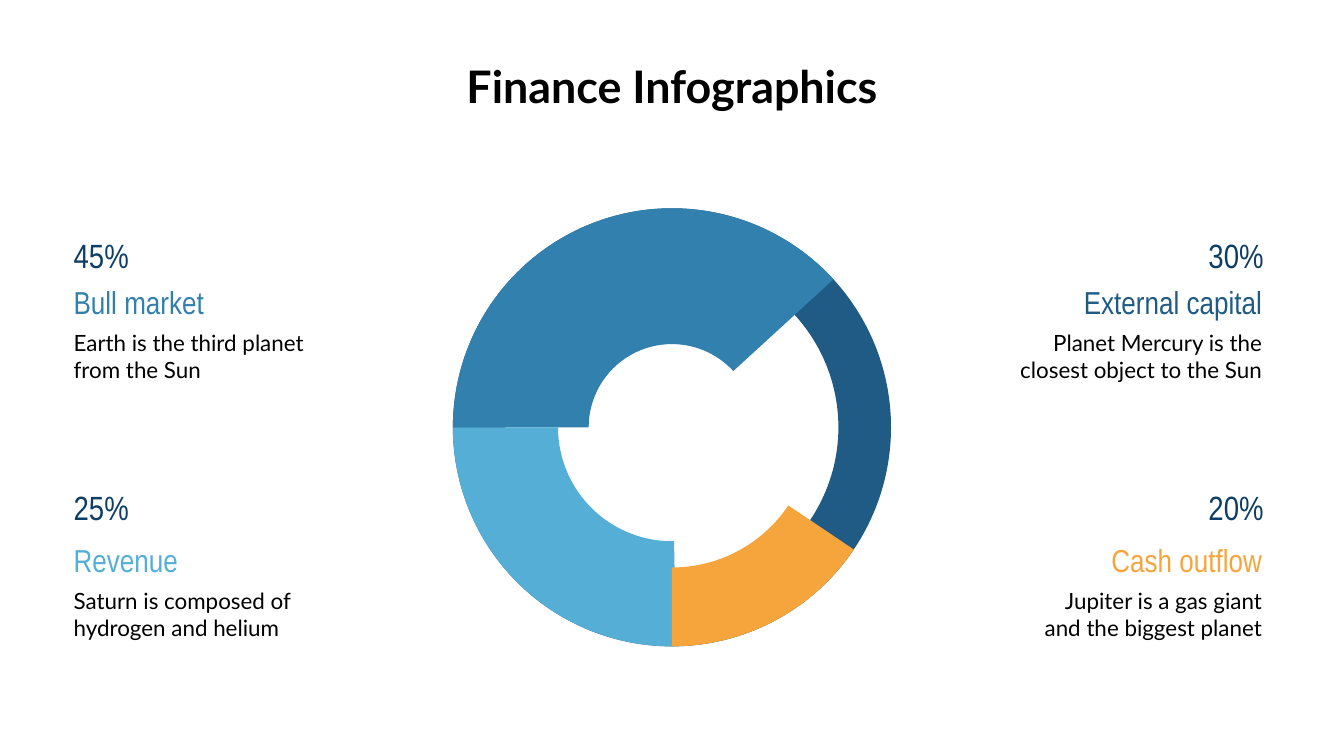
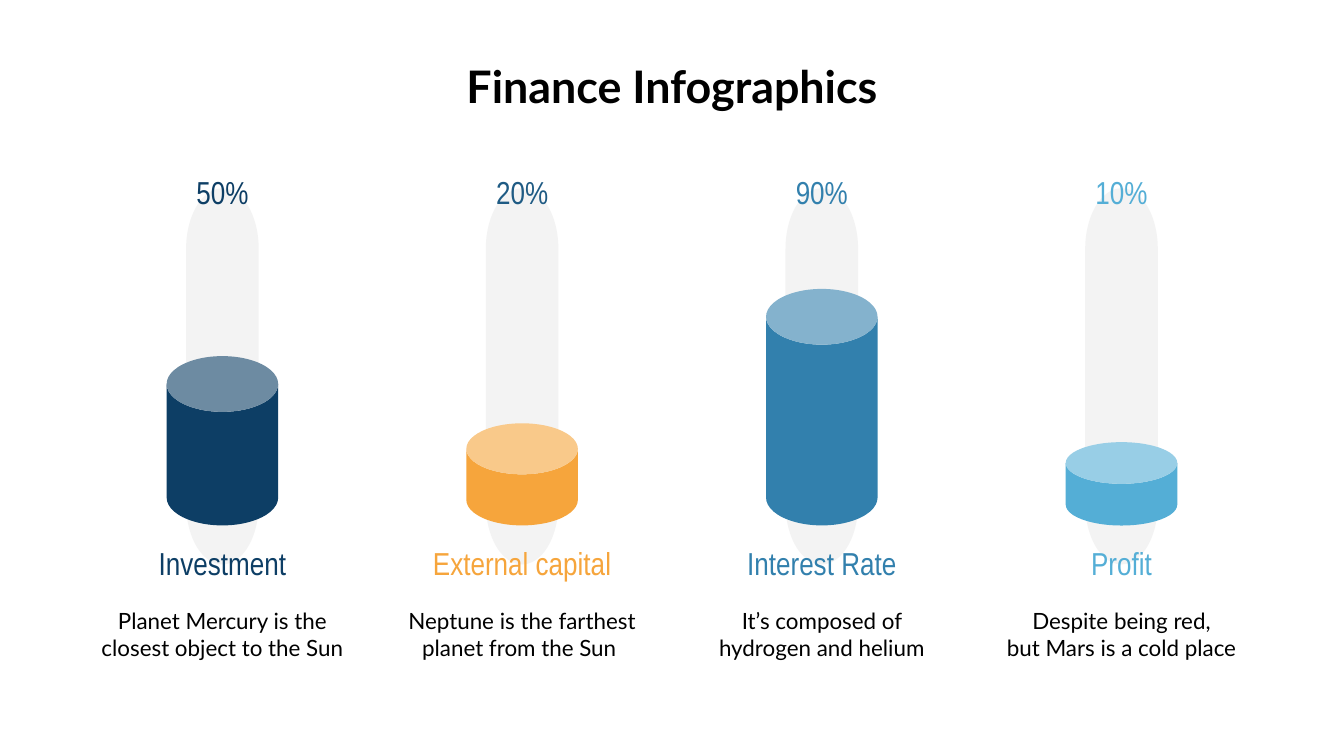
import copy
import dataclasses

import pptx
import pptx.dml.color
import pptx.enum.shapes
import pptx.enum.text
import pptx.oxml.ns
import pptx.util

Inches = pptx.util.Inches
SHAPE = pptx.enum.shapes.MSO_SHAPE
ALIGN = pptx.enum.text.PP_ALIGN
ANCHOR = pptx.enum.text.MSO_ANCHOR


@dataclasses.dataclass(frozen=True)
class Theme:
    black: str = "000000"
    navy: str = "0D3E65"
    deep: str = "1F5B84"
    blue: str = "3280AD"
    sky: str = "54AED6"
    orange: str = "F6A53C"
    track: str = "F3F3F3"
    body_font: str = "Lato"
    label_font: str = "Arial Narrow"
    title_size: int = 24
    share_size: int = 18
    label_size: int = 17
    note_size: int = 12


THEME = Theme()

# Content
TITLE = "Finance Infographics"

RING_COLOR, RING_THICKNESS = THEME.deep, 0.12
# Start and end in degrees clockwise from three o'clock, thickness, colour
RING_ARCS = [
    (180, 317.5, 0.31, THEME.blue),
    (88.94, 180, 0.24, THEME.sky),
    (33.9, 90, 0.18, THEME.orange),
]

# Rows of the ring slide: top of share, top of label, left entry, right entry
RING_ROWS = [
    (1.66, 2.01,
     ("45%", "Bull market", "Earth is the third planet from the Sun", THEME.blue),
     ("30%", "External capital", "Planet Mercury is the closest object to the Sun", THEME.deep)),
    (3.54, 3.93,
     ("25%", "Revenue", "Saturn is composed of hydrogen and helium", THEME.sky),
     ("20%", "Cash outflow", "Jupiter is a gas giant\nand the biggest planet", THEME.orange)),
]

# Share, share colour, label, note, can colour, can height
CANS = [
    ("50%", THEME.navy, "Investment",
     "Planet Mercury is the closest object to the Sun", THEME.navy, 1.26),
    ("20%", THEME.deep, "External capital",
     "Neptune is the farthest planet from the Sun ", THEME.orange, 0.76),
    ("90%", THEME.blue, "Interest Rate",
     "It’s composed of hydrogen and helium", THEME.blue, 1.76),
    ("10%", THEME.sky, "Profit",
     "Despite being red,\nbut Mars is a cold place", THEME.sky, 0.62),
]

# Layout in inches
LABEL_HEIGHT, NOTE_HEIGHT = 0.47, 0.58
RING_BOX = (3.37, 1.55, 3.26, 3.26)
SIDES = [(0.45, 0.45, ALIGN.LEFT), (7.75, 7.26, ALIGN.RIGHT)]
SHARE_WIDTH, SIDE_WIDTH, NOTE_DROP = 1.75, 2.23, 0.35
COLUMN_LEFT, COLUMN_PITCH, COLUMN_WIDTH = 0.61, 2.23, 2.09
CAN_WIDTH, CAN_BOTTOM, CAN_RIM = 0.83, 3.91, 0.5
TRACK_LENGTH, TRACK_WIDTH, TRACK_MIDDLE = 2.8, 0.54, 2.8


def add_text(slide, text, box, size, color, align, font=THEME.body_font,
             bold=False, anchor=ANCHOR.MIDDLE):
    shape = slide.shapes.add_textbox(*map(Inches, box))
    frame_format = {"word_wrap": True, "vertical_anchor": anchor}
    for side in ("left", "top", "right", "bottom"):
        frame_format[f"margin_{side}"] = Inches(0.1)
    for name, value in frame_format.items():
        setattr(shape.text_frame, name, value)

    paragraph = shape.text_frame.paragraphs[0]
    paragraph.text = text
    paragraph.alignment = align
    for run in paragraph.runs:
        for name, value in {"name": font, "size": pptx.util.Pt(size), "bold": bold}.items():
            setattr(run.font, name, value)
        run.font.color.rgb = pptx.dml.color.RGBColor.from_string(color)

    # Line breaks take the type size of the text around them
    run_format = paragraph._p.find(".//" + pptx.oxml.ns.qn("a:rPr"))
    for line_break in paragraph._p.findall(pptx.oxml.ns.qn("a:br")):
        line_break.append(copy.deepcopy(run_format))


def add_label(slide, text, box, color, align, size=THEME.label_size):
    add_text(slide, text, box, size, color, align, THEME.label_font)


def add_note(slide, text, box, align):
    add_text(slide, text, box, THEME.note_size, THEME.black, align)


def add_figure(slide, kind, box, color, adjustments=(), rotation=0):
    shape = slide.shapes.add_shape(kind, *map(Inches, box))
    shape.shadow.inherit = False
    shape.fill.solid()
    shape.fill.fore_color.rgb = pptx.dml.color.RGBColor.from_string(color)
    shape.line.fill.background()
    shape.rotation = rotation
    for index, value in enumerate(adjustments):
        shape.adjustments[index] = value


def add_titled_slide(presentation):
    slide = presentation.slides.add_slide(presentation.slide_layouts[6])
    add_text(slide, TITLE, (0.2, 0.34, 9.6, 0.63), THEME.title_size, THEME.black,
             ALIGN.CENTER, bold=True, anchor=ANCHOR.TOP)
    return slide


def build_ring_slide(presentation):
    slide = add_titled_slide(presentation)

    # Ring with arcs of different thickness
    add_figure(slide, SHAPE.DONUT, RING_BOX, RING_COLOR, [RING_THICKNESS])
    for start, end, thickness, color in RING_ARCS:
        # Angles are stored in 60000ths of a degree, adjustments in 100000ths
        add_figure(slide, SHAPE.BLOCK_ARC, RING_BOX, color,
                   [start * 0.6, end * 0.6, thickness])

    # Entries on both sides
    for share_top, label_top, *entries in RING_ROWS:
        for (share_left, left, align), (share, label, note, color) in zip(SIDES, entries):
            add_label(slide, share, (share_left, share_top, SHARE_WIDTH, LABEL_HEIGHT),
                      THEME.navy, align, THEME.share_size)
            add_label(slide, label, (left, label_top, SIDE_WIDTH, LABEL_HEIGHT), color, align)
            add_note(slide, note, (left, label_top + NOTE_DROP, SIDE_WIDTH, NOTE_HEIGHT), align)


def build_can_slide(presentation):
    slide = add_titled_slide(presentation)

    for column, (share, share_color, label, note, color, height) in enumerate(CANS):
        left = COLUMN_LEFT + column * COLUMN_PITCH
        center = left + COLUMN_WIDTH / 2

        # Upright track with the can in front
        add_figure(slide, SHAPE.FLOWCHART_TERMINATOR,
                   (center - TRACK_LENGTH / 2, TRACK_MIDDLE - TRACK_WIDTH / 2,
                    TRACK_LENGTH, TRACK_WIDTH), THEME.track, rotation=270)
        add_figure(slide, SHAPE.CAN,
                   (center - CAN_WIDTH / 2, CAN_BOTTOM - height, CAN_WIDTH, height),
                   color, [CAN_RIM])

        # Share above, label and note below
        for text, top, text_color in ((share, 1.19, share_color), (label, 3.95, color)):
            add_label(slide, text, (left, top, COLUMN_WIDTH, LABEL_HEIGHT),
                      text_color, ALIGN.CENTER)
        add_note(slide, note, (left, 4.43, COLUMN_WIDTH, NOTE_HEIGHT), ALIGN.CENTER)


def main():
    presentation = pptx.Presentation()
    # Widescreen, 16 to 9
    presentation.slide_width = Inches(10)
    presentation.slide_height = Inches(10 * 9 / 16)
    build_ring_slide(presentation)
    build_can_slide(presentation)
    presentation.save("out.pptx")


if __name__ == "__main__":
    main()
